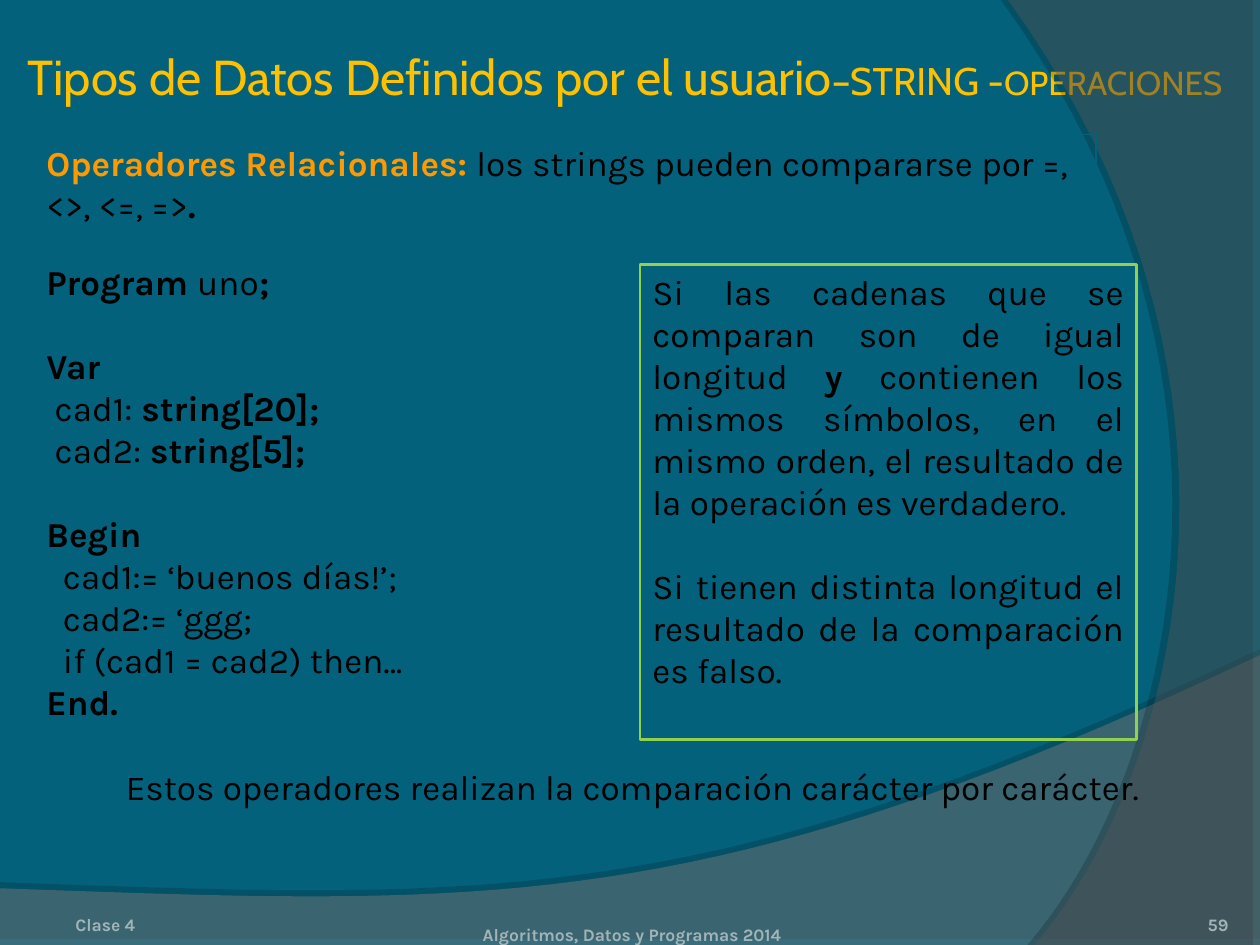
from dataclasses import dataclass
from typing import NamedTuple

from lxml.etree import SubElement
from pptx import Presentation
from pptx.dml.color import RGBColor
from pptx.enum.text import MSO_ANCHOR as Anchor, MSO_AUTO_SIZE as AutoSize, PP_ALIGN as Align
from pptx.enum.shapes import MSO_SHAPE as Preset
from pptx.oxml.ns import qn
from pptx.util import Inches, Pt

COLORS = {
    "background": "04617B",
    "wave": "7C7C7C",
    "arc": "595959",
    "shadow": "000000",
    "text": "000000",
    "heading": "FF9900",
    "title": "FFC000",
    "frame": "92D050",
    "footer": "A1B4B7",
}
BODY_FONT = "Karla"
TITLE_FONT = "Cabin"
BLANK_LINE = 24
CURVE_STEPS = 40


class Span(NamedTuple):
    text: str
    bold: bool = False
    color: str | None = None
    size: float | None = None


class Para(NamedTuple):
    spans: list[Span]
    before: float = 0


@dataclass
class TextArea:
    bounds: tuple[float, float, float, float]
    paras: list[Para]
    align: Align = Align.LEFT
    border: str | None = None
    border_width: float = 0
    size: float = 20
    color: str = "text"
    font: str = BODY_FONT
    anchor: Anchor = Anchor.TOP
    insets: tuple[float, float, float, float] = (0.1, 0.05, 0.1, 0.05)


@dataclass
class Swoosh:
    start: tuple[float, float]
    edges: list[tuple[tuple[float, float], ...]]
    color: str
    opacity: int
    shadow_opacity: int
    shadow_distance: float
    shadow_angle: int


def rgb(name: str) -> RGBColor:
    return RGBColor.from_string(COLORS[name])


def curve_points(corners: tuple) -> list[tuple[float, float]]:
    points = []
    for step in range(1, CURVE_STEPS + 1):
        t = step / CURVE_STEPS
        weights = ((1 - t) ** 3, 3 * t * (1 - t) ** 2, 3 * t * t * (1 - t), t ** 3)
        points.append(tuple(sum(w * c[axis] for w, c in zip(weights, corners)) for axis in (0, 1)))
    return points


def draw_swoosh(slide, swoosh: Swoosh) -> None:
    points, last = [], swoosh.start
    for edge in swoosh.edges:
        points += curve_points((last, *edge)) if len(edge) == 3 else edge
        last = edge[-1]
    builder = slide.shapes.build_freeform(*map(Inches, swoosh.start))
    builder.add_line_segments([(Inches(x), Inches(y)) for x, y in points])
    shape = builder.convert_to_shape()
    shape.fill.solid()
    shape.fill.fore_color.rgb = rgb(swoosh.color)
    shape.line.fill.background()
    shape.shadow.inherit = False
    properties = shape.element.spPr
    fill_color = properties.find(qn("a:solidFill"))[0]
    SubElement(fill_color, qn("a:alpha"), val=str(swoosh.opacity * 1000))
    shadow = SubElement(
        properties.find(qn("a:effectLst")), qn("a:outerShdw"), blurRad="0",
        dist=str(Pt(swoosh.shadow_distance)), dir=str(swoosh.shadow_angle * 60000),
        algn="ctr", rotWithShape="0",
    )
    shadow_color = SubElement(shadow, qn("a:srgbClr"), val=COLORS["shadow"])
    SubElement(shadow_color, qn("a:alpha"), val=str(swoosh.shadow_opacity * 1000))


def fill_text(box, area: TextArea) -> None:
    frame = box.text_frame
    frame.word_wrap = True
    frame.auto_size = AutoSize.NONE
    frame.vertical_anchor = area.anchor
    frame.margin_left, frame.margin_top, frame.margin_right, frame.margin_bottom = map(Inches, area.insets)
    for index, content in enumerate(area.paras):
        para = frame.add_paragraph() if index else frame.paragraphs[0]
        para.alignment = area.align
        para.space_before = Pt(content.before)
        para.font.name = area.font
        para.font.size = Pt(area.size)
        para.font.color.rgb = rgb(area.color)
        for span in content.spans:
            run = para.add_run()
            run.text = span.text
            run.font.bold = span.bold
            run.font.color.rgb = rgb(span.color or area.color)
            if span.size:
                run.font.size = Pt(span.size)


def draw_text(slide, area: TextArea) -> None:
    bounds = map(Inches, area.bounds)
    if area.border:
        box = slide.shapes.add_shape(Preset.RECTANGLE, *bounds)
        box.shadow.inherit = False
        box.fill.background()
        box.line.color.rgb = rgb(area.border)
        box.line.width = Pt(area.border_width)
    else:
        box = slide.shapes.add_textbox(*bounds)
    fill_text(box, area)


def footer(bounds: tuple, text: str, align: Align, insets: tuple) -> TextArea:
    return TextArea(bounds, [Para([Span(text, True)])], align, size=10,
                    color="footer", anchor=Anchor.BOTTOM, insets=insets)


SWOOSHES = [
    Swoosh((0, 7.05), [((0, 7.5),), ((10, 7.5),), ((10, 5.2),), ((5.59, 7.29), (3.91, 7.19), (0, 7.05))],
           "wave", 45, 35, 3.5, 270),
    Swoosh((10, 0), [((10, 7.5),), ((8.21, 7.5),), ((9.35, 6.19), (10.18, 3), (8, 0))],
           "arc", 40, 45, 4, 180),
]

TITLE = TextArea((0.12, 0.32, 9.88, 0.83), [Para([
    Span("Tipos de Datos Definidos por el usuario", size=28),
    Span("–STRING -", size=22),
    Span("OPERACIONES", size=19),
])], size=28, color="title", font=TITLE_FONT)

CODE = [
    Para([Span("Program ", True), Span("uno"), Span(";", True)]),
    Para([Span("Var", True)], BLANK_LINE),
    Para([Span(" cad1:"), Span(" string[20];", True)]),
    Para([Span(" cad2:"), Span(" string[5];", True)]),
    Para([Span("Begin", True)], BLANK_LINE),
    Para([Span("  cad1:= ‘buenos días!’;")]),
    Para([Span("  cad2:= ‘ggg;")]),
    Para([Span("  if (cad1 = cad2) then…")]),
    Para([Span("End.", True)]),
]

AREAS = [
    footer((0.5, 7.02, 2.33, 0.4), "Clase 4", Align.LEFT, (0.1, 0.05, 0.1, 0)),
    footer((3.43, 7.1, 3.17, 0.4), "Algoritmos, Datos y Programas 2014", Align.CENTER, (0, 0.05, 0, 0)),
    footer((8.92, 7.02, 0.83, 0.4), "59", Align.RIGHT, (0, 0, 0, 0)),
    TextArea((0.27, 2.02, 3.86, 3.77), CODE),
    TextArea((0.27, 1.07, 8.43, 0.77), [Para([
        Span("Operadores Relacionales: ", True, "heading"),
        Span("los strings pueden compararse por =, <>, <=, =>"),
        Span(".", True),
    ])], border="background", border_width=0.75),
    TextArea((5.08, 2.1, 3.94, 3.77), [
        Para([
            Span("Si las cadenas que se comparan son de igual longitud "),
            Span("y", True),
            Span(" contienen los mismos símbolos, en el mismo orden, el resultado de la operación es verdadero."),
        ]),
        Para([Span("Si tienen distinta longitud el resultado de la comparación es falso.")], BLANK_LINE),
    ], Align.JUSTIFY, "frame", 1.5),
    TextArea((0.9, 6.03, 8.74, 0.44), [
        Para([Span("Estos operadores realizan la comparación carácter por carácter.")]),
    ], Align.JUSTIFY),
]


def main() -> None:
    deck = Presentation()
    deck.slide_width, deck.slide_height = Inches(10), Inches(7.5)
    slide = deck.slides.add_slide(deck.slide_layouts.get_by_name("Title Only"))
    slide.background.fill.solid()
    slide.background.fill.fore_color.rgb = rgb("background")
    for swoosh in SWOOSHES:
        draw_swoosh(slide, swoosh)
    for area in AREAS:
        draw_text(slide, area)
    title = slide.shapes.title
    title.left, title.top, title.width, title.height = map(Inches, TITLE.bounds)
    fill_text(title, TITLE)
    deck.save("out.pptx")


if __name__ == "__main__":
    main()
